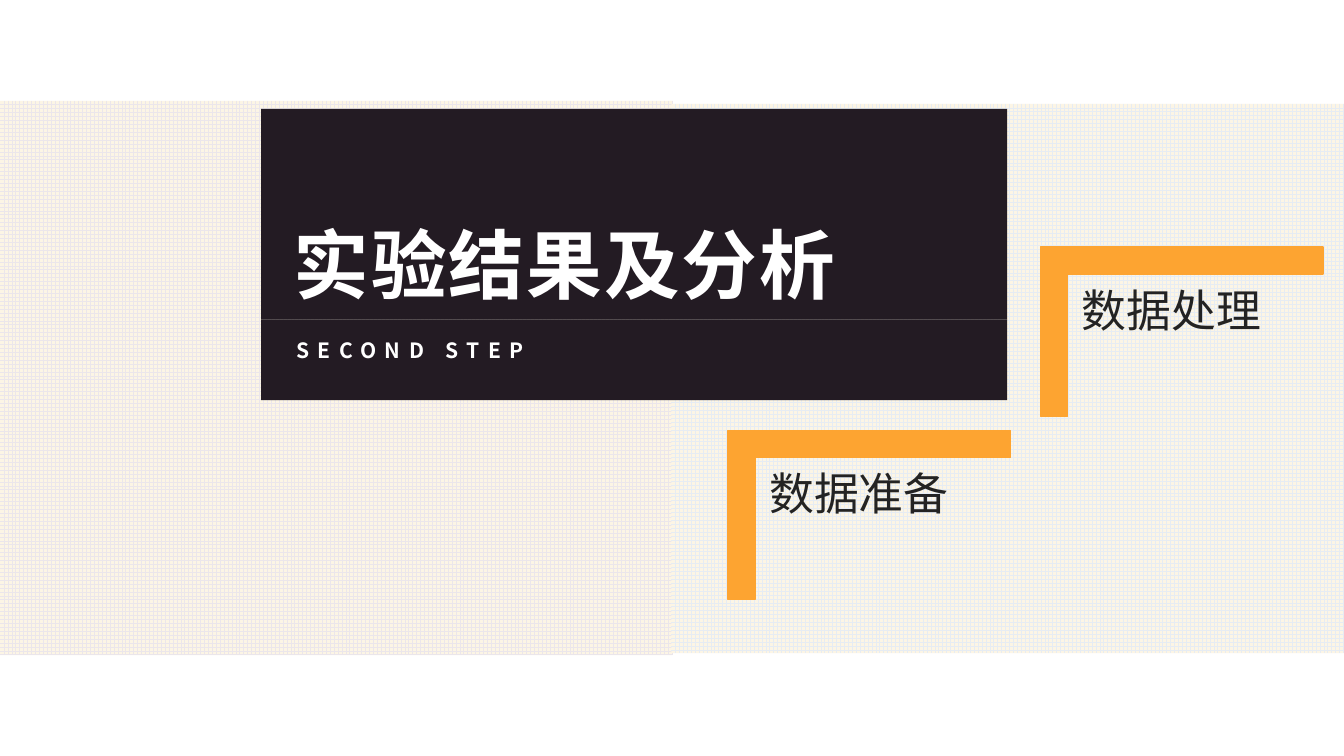
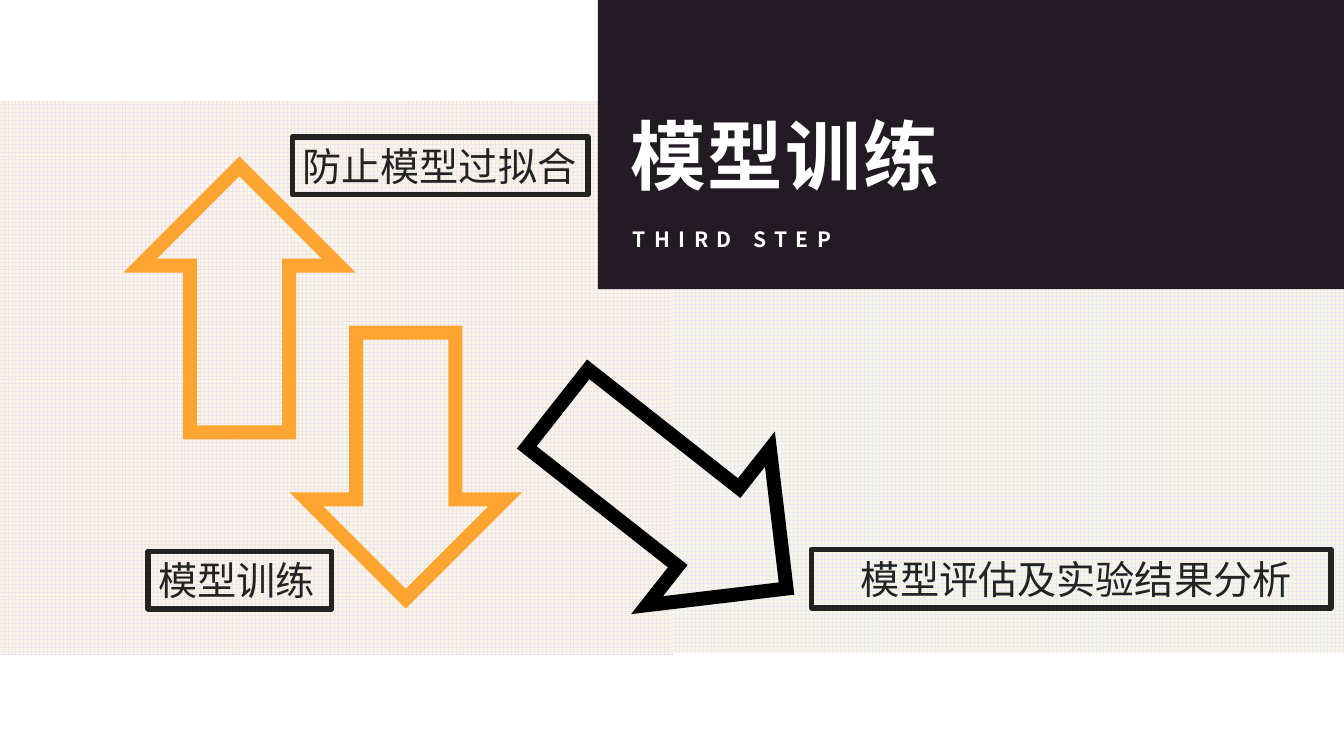
from lxml.etree import SubElement
from pptx import Presentation
from pptx.dml.color import RGBColor
from pptx.enum.dml import MSO_PATTERN
from pptx.enum.shapes import MSO_SHAPE
from pptx.enum.text import MSO_ANCHOR, PP_ALIGN
from pptx.oxml.ns import qn
from pptx.util import Pt

EMU_PER_PX = 9144
FONT = "Noto Sans CJK SC"
WHITE, BLACK = "FFFFFF", "000000"
DARK, INK, ORANGE = "231B23", "232323", "FDA431"
CREAM, LILAC, ICE = "FCF5E5", "EBE6EB", "E6ECF3"
PANEL_WIDTH = 740

TITLE = {
    "font": {"size": Pt(54), "bold": True},
    "paragraph": {"line_spacing": 0.9},
    "frame": {"vertical_anchor": MSO_ANCHOR.BOTTOM},
    "insets": (12, 12, 12, 10), "color": WHITE, "spacing": 150, "margin": 20,
}
SUBTITLE = {
    "font": {"size": Pt(15), "bold": True},
    "paragraph": {"line_spacing": 1.5, "space_before": Pt(15)},
    "color": WHITE, "spacing": 600, "margin": 25,
}
STEP = {
    "font": {"size": Pt(32)},
    "paragraph": {"line_spacing": 0.9},
    "insets": (13, 13, 13, 13),
}
LABEL = {
    "font": {"size": Pt(28)},
    "frame": {"vertical_anchor": MSO_ANCHOR.MIDDLE},
    "insets": (10, 5, 0, 5),
}


def px(value):
    return round(value * EMU_PER_PX)


def rgb(color):
    return RGBColor.from_string(color)


def set_attributes(target, values):
    for name, value in values.items():
        setattr(target, name, value)


def add_box(slide, box, kind=MSO_SHAPE.RECTANGLE, fill=None, line=None, line_width=1):
    shape = slide.shapes.add_shape(kind, *map(px, box))
    shape.shadow.inherit = False
    for target, color in ((shape.fill, fill), (shape.line.fill, line)):
        if color:
            target.solid()
            target.fore_color.rgb = rgb(color)
        else:
            target.background()
    if line:
        shape.line.width = Pt(line_width)
    return shape


def write_text(shape, text, style, indent=0):
    """Write one paragraph; indent moves its first line."""
    frame = shape.text_frame
    left, top, right, bottom = map(px, style.get("insets", (10, 5, 10, 5)))
    set_attributes(frame, {
        "word_wrap": True, "vertical_anchor": MSO_ANCHOR.TOP,
        "margin_left": left, "margin_top": top,
        "margin_right": right, "margin_bottom": bottom,
        **style.get("frame", {}),
    })
    paragraph = frame.paragraphs[0]
    set_attributes(paragraph, {"alignment": PP_ALIGN.LEFT, **style.get("paragraph", {})})
    properties = paragraph._p.get_or_add_pPr()
    properties.set("marL", str(px(style.get("margin", 0))))
    properties.set("indent", str(px(indent)))
    run = paragraph.add_run()
    run.text = text
    set_attributes(run.font, {"name": FONT, **style["font"]})
    run.font.color.rgb = rgb(style.get("color", INK))
    run_properties = run._r.get_or_add_rPr()
    run_properties.set("spc", str(style.get("spacing", 0)))
    SubElement(run_properties, qn("a:ea"), typeface=FONT)


def add_backdrop(slide):
    for box, grid in (((0, 100, 667, 550), LILAC), ((666, 103, 667, 545), ICE)):
        fill = add_box(slide, box).fill
        fill.patterned()
        fill.pattern = MSO_PATTERN.LARGE_GRID
        fill.fore_color.rgb = rgb(grid)
        fill.back_color.rgb = rgb(CREAM)


def add_title_panel(slide, left, top, subtitle_top, title, subtitle):
    for box, text, style in (
        ((left, top, PANEL_WIDTH, 209), title, TITLE),
        ((left, subtitle_top, PANEL_WIDTH, 80), subtitle, SUBTITLE),
    ):
        write_text(add_box(slide, box, fill=DARK), text, style)


def add_step(slide, left, top, text):
    """Add a corner bracket, turned from upright, with its caption."""
    bracket = add_box(slide, (left, top, 168, 280), MSO_SHAPE.CORNER, ORANGE, ORANGE)
    bracket.rotation = 90
    for index in range(2):
        bracket.adjustments[index] = 0.16
    caption = slide.shapes.add_textbox(*map(px, (left - 28, top + 84, 253, 222)))
    write_text(caption, text, STEP)


def add_arrow(slide, box, color, rotation=0):
    arrow = add_box(slide, box, MSO_SHAPE.DOWN_ARROW, line=color, line_width=10)
    arrow.rotation = rotation
    SubElement(arrow.line._get_or_add_ln(), qn("a:miter"), lim="800000")


def add_label(slide, box, text, indent=0):
    write_text(add_box(slide, box, line=INK, line_width=4), text, LABEL, indent)


def add_slide(presentation):
    slide = presentation.slides.add_slide(presentation.slide_layouts[6])
    add_backdrop(slide)
    return slide


def build_results_slide(presentation):
    slide = add_slide(presentation)
    add_title_panel(slide, 259, 108, 317, "实验结果及分析", "SECOND STEP")
    add_step(slide, 778, 371, "数据准备")
    add_step(slide, 1088, 189, "数据处理")


def build_training_slide(presentation):
    slide = add_slide(presentation)
    add_title_panel(slide, 593, 0, 207, "模型训练", "THIRD STEP")
    add_arrow(slide, (139, 165, 197, 264), ORANGE, 180)
    add_arrow(slide, (568, 350, 197, 289), BLACK, 308.2)
    add_label(slide, (805, 545, 515, 58), "模型评估及实验结果分析", 39)
    add_arrow(slide, (304, 330, 197, 264), ORANGE)
    add_label(slide, (290, 136, 293, 57), "防止模型过拟合")
    add_label(slide, (147, 547, 182, 57), "模型训练")


def main():
    presentation = Presentation()
    presentation.slide_width = px(1333)
    presentation.slide_height = px(750)
    build_results_slide(presentation)
    build_training_slide(presentation)
    presentation.save("out.pptx")


if __name__ == "__main__":
    main()
